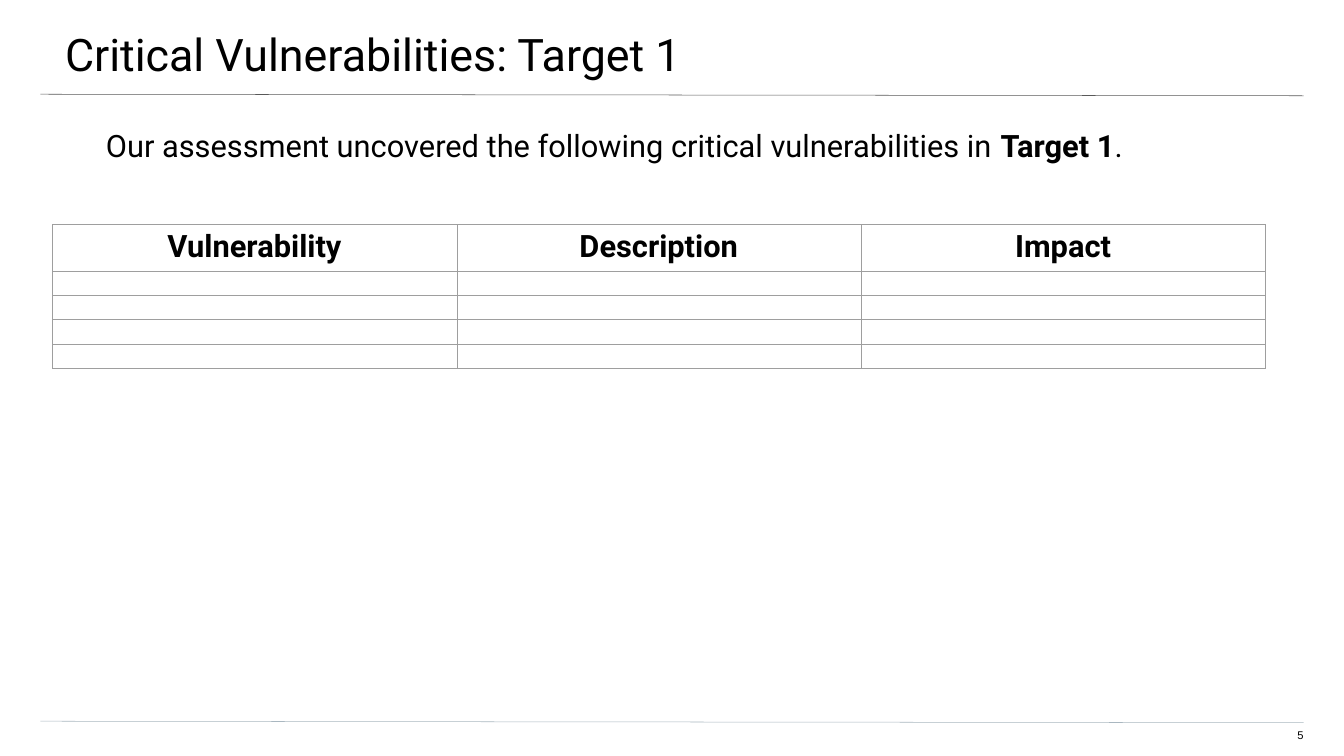
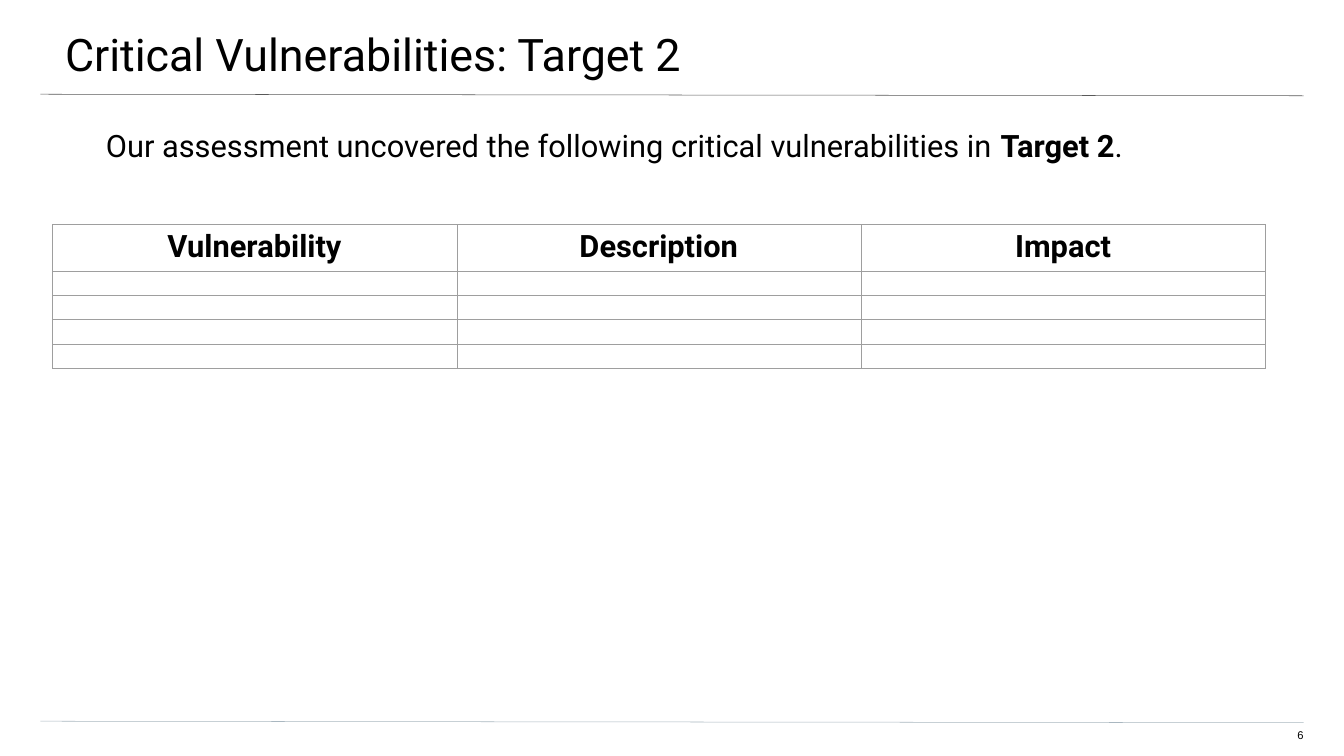
from dataclasses import dataclass

from lxml import etree
from pptx import Presentation
from pptx.dml.color import RGBColor
from pptx.enum.shapes import MSO_CONNECTOR
from pptx.enum.text import MSO_ANCHOR, MSO_AUTO_SIZE, PP_ALIGN
from pptx.oxml.ns import qn
from pptx.util import Inches, Pt

LEFT, CENTER, RIGHT = PP_ALIGN.LEFT, PP_ALIGN.CENTER, PP_ALIGN.RIGHT
TOP = MSO_ANCHOR.TOP
FIXED, GROW = MSO_AUTO_SIZE.NONE, MSO_AUTO_SIZE.SHAPE_TO_FIT_TEXT
STRAIGHT = MSO_CONNECTOR.STRAIGHT

COLORS = {
    "text": "000000",
    "title_rule": "595959",
    "footer_rule": "A9B7C0",
    "grid": "9E9E9E",
}
HEADING_FONT, NUMBER_FONT = "Roboto", "Arial"
HEADERS = ("Vulnerability", "Description", "Impact")
EMPTY_ROWS = 4
COL_WIDTH, HEADER_HEIGHT, ROW_HEIGHT = 8.02, 0.91, 0.48
RULE_WIDTH = 0.75


@dataclass(frozen=True)
class Box:
    left: float
    top: float
    width: float
    height: float
    insets: tuple[float, float, float, float]
    auto_size: MSO_AUTO_SIZE = GROW


@dataclass(frozen=True)
class Rule:
    top: float
    color: str


@dataclass(frozen=True)
class TargetSlide:
    target: str
    number: int


TITLE = Box(-0.04, 0, 26.73, 1.56, (1.33, 0.53, 0.8, 0.27))
BODY = Box(0.77, 2.51, 25.09, 10.79, (1.33, 0, 1.33, 2.67), FIXED)
NUMBER = Box(25.1, 14.46, 0.76, 0.31, (0, 0, 0, 0.27))
RULES = (Rule(1.87, "title_rule"), Rule(14.31, "footer_rule"))
SLIDES = (TargetSlide("Target 1", 5), TargetSlide("Target 2", 6))


def add_run(p, text: str, *, size: float = 44, font: str = HEADING_FONT,
            bold: bool = False) -> None:
    r = p.add_run()
    r.text = text
    r.font.size = Pt(size)
    r.font.name = font
    r.font.bold = bold
    r.font.color.rgb = RGBColor.from_string(COLORS["text"])


def add_box(slide, box: Box, align=LEFT):
    sp = slide.shapes.add_textbox(Inches(box.left), Inches(box.top),
                                  Inches(box.width), Inches(box.height))
    tf = sp.text_frame
    tf.word_wrap = True
    tf.auto_size = box.auto_size
    tf.vertical_anchor = TOP
    (tf.margin_left, tf.margin_top,
     tf.margin_right, tf.margin_bottom) = map(Inches, box.insets)
    p = tf.paragraphs[0]
    p.alignment = align
    return p


def add_rule(slide, rule: Rule) -> None:
    line = slide.shapes.add_connector(STRAIGHT, Inches(0.8), Inches(rule.top),
                                      Inches(25.86), Inches(rule.top + 0.03))
    line.line.color.rgb = RGBColor.from_string(COLORS[rule.color])
    line.line.width = Pt(RULE_WIDTH)
    etree.SubElement(line._element.spPr, qn("a:effectLst"))


def style_cell(cell, margin: float) -> None:
    tc_pr = cell._tc.get_or_add_tcPr()
    for side in ("a:lnL", "a:lnR", "a:lnT", "a:lnB"):
        ln = etree.SubElement(tc_pr, qn(side), w=str(Pt(RULE_WIDTH)))
        fill = etree.SubElement(ln, qn("a:solidFill"))
        etree.SubElement(fill, qn("a:srgbClr"), val=COLORS["grid"])
    cell.fill.background()
    cell.margin_left = cell.margin_right = Inches(0.1)
    cell.margin_top = cell.margin_bottom = Inches(margin)


def add_findings_table(slide) -> None:
    height = HEADER_HEIGHT + EMPTY_ROWS * ROW_HEIGHT
    table = slide.shapes.add_table(
        EMPTY_ROWS + 1, len(HEADERS), Inches(1.04), Inches(4.45),
        Inches(COL_WIDTH * len(HEADERS)), Inches(height)).table
    table.horz_banding = False
    for col in table.columns:
        col.width = Inches(COL_WIDTH)
    for i, row in enumerate(table.rows):
        row.height = Inches(ROW_HEIGHT if i else HEADER_HEIGHT)
        for cell in row.cells:
            style_cell(cell, 0.08 if i else 0.1)
    for cell, header in zip(table.rows[0].cells, HEADERS):
        p = cell.text_frame.paragraphs[0]
        p.alignment = CENTER
        add_run(p, header, bold=True)


def add_target_slide(prs, item: TargetSlide) -> None:
    slide = prs.slides.add_slide(prs.slide_layouts[6])
    for rule in RULES:
        add_rule(slide, rule)
    add_run(add_box(slide, TITLE), f"Critical Vulnerabilities: {item.target}", size=64)
    add_run(add_box(slide, NUMBER, RIGHT), str(item.number), size=16, font=NUMBER_FONT)
    p = add_box(slide, BODY)
    add_run(p, "Our assessment uncovered the following critical vulnerabilities in ")
    add_run(p, item.target, bold=True)
    add_run(p, ".")
    add_findings_table(slide)


def main() -> None:
    prs = Presentation()
    prs.slide_width, prs.slide_height = Inches(26.66), Inches(15)
    for item in SLIDES:
        add_target_slide(prs, item)
    prs.save("out.pptx")


if __name__ == "__main__":
    main()
